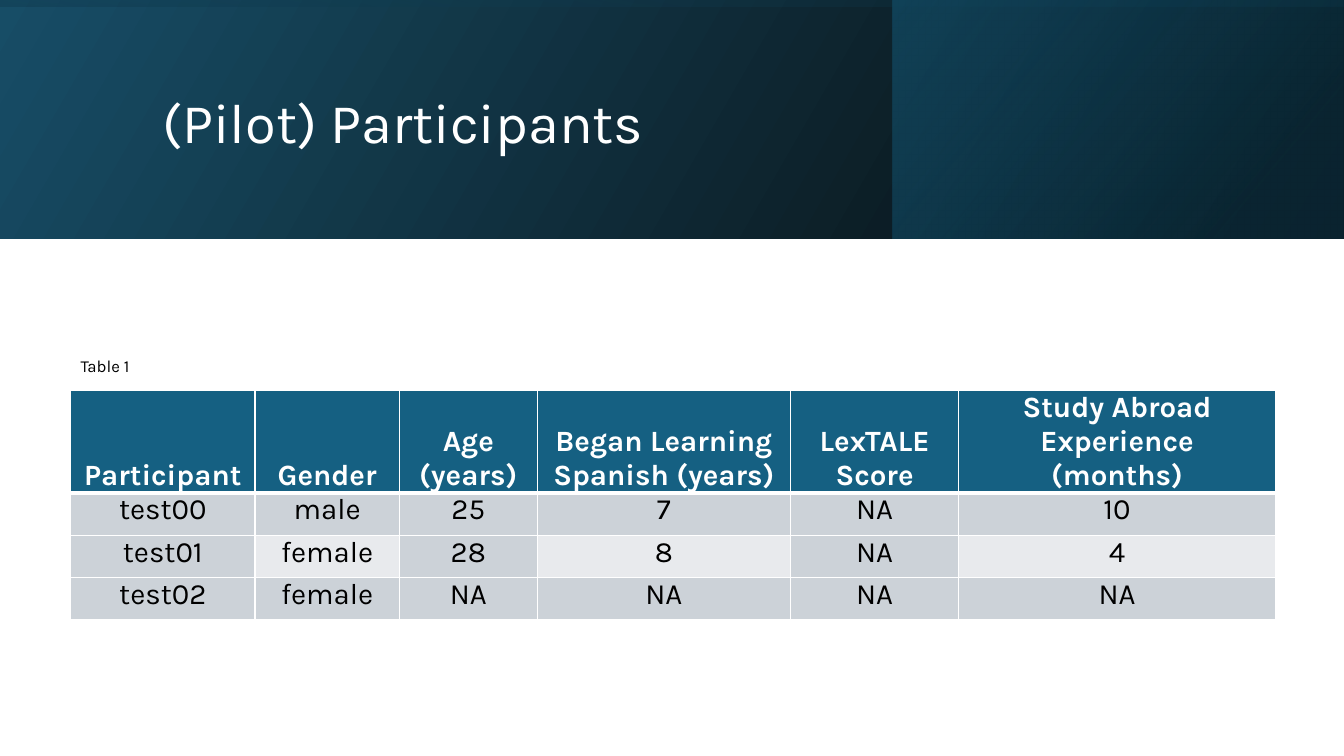
from lxml import etree
from pptx import Presentation, util as u
from pptx.dml.color import RGBColor
from pptx.enum import shapes, text
from pptx.oxml import parse_xml
from pptx.oxml.ns import nsdecls, qn

FONT = "Karla"
WHITE, BLACK, TEAL = "FFFFFF", "000000", "156082"
BAND, LIGHT = "CCD2D8", "E8EAED"
HEADERS = ["Participant", "Gender", "Age (years)", "Began Learning Spanish (years)",
           "LexTALE Score", "Study Abroad Experience (months)"]
ROWS = [["test00", "male", "25", "7", "NA", "10"],
        ["test01", "female", "28", "8", "NA", "4"],
        ["test02", "female", "NA", "NA", "NA", "NA"]]
COL_WIDTHS = [1.83, 1.43, 1.37, 2.51, 1.67, 3.14]
ROW_HEIGHTS = [0.77, 0.42, 0.42, 0.42]


def rgb(color):
    return RGBColor.from_string(color)


def inches(*lengths):
    return [u.Inches(v) for v in lengths]


def format_run(p, size, color, bold=False):
    font = p.runs[0].font
    font.name, font.size, font.bold = FONT, u.Pt(size), bold
    font.color.rgb = rgb(color)


def gradient_panel(s, box, stops, angle, rotation=0):
    """Mirrored rectangle; stops are (position %, colour, opacity %)."""
    sp = s.shapes.add_shape(shapes.MSO_SHAPE.RECTANGLE, *inches(*box))
    sp.rotation = rotation
    spPr = sp._element.spPr
    spPr.find(qn("a:xfrm")).set("flipH", "1")
    stop_xml = "".join(
        f'<a:gs pos="{pos * 1000}"><a:srgbClr val="{color}">'
        f'<a:alpha val="{alpha * 1000}"/></a:srgbClr></a:gs>'
        for pos, color, alpha in stops)
    spPr.append(parse_xml(
        f'<a:gradFill {nsdecls("a")} rotWithShape="1"><a:gsLst>{stop_xml}</a:gsLst>'
        f'<a:lin ang="{angle * 60000}" scaled="0"/></a:gradFill>'))
    sp.line.fill.background()
    sp.shadow.inherit = False
    return sp


def add_banner(s, x, y, w, h):
    # Layered gradients; the last is a tall panel turned on its side
    side = w * 0.336
    panels = [
        gradient_panel(s, (x, y, w, h), [(0, BLACK, 96), (100, "104862", 100 - 4 + 4 - 4)], 330),
        gradient_panel(s, (x + w - side, y, side, h),
                       [(19, "0B3041", 68), (100, TEAL, 48)], 320),
        gradient_panel(s, (x + (w - h) / 2, y + (h - w) / 2, h, w),
                       [(23, "104862", 16), (99, BLACK, 45)], 350, 270),
    ]
    # Title in front of the panels
    title = s.shapes.title
    for panel in panels:
        title._element.addprevious(panel._element)
    title.left, title.top, title.width, title.height = inches(
        x + 1.51, y + 0.38, w - 2.7, h - 0.65)
    tf = title.text_frame
    tf.text = "(Pilot) Participants"
    tf.word_wrap = True
    tf.vertical_anchor = text.MSO_ANCHOR.MIDDLE
    p = tf.paragraphs[0]
    p.alignment, p.line_spacing = text.PP_ALIGN.LEFT, 0.9
    format_run(p, 40, WHITE)


def set_borders(cell, bottom, top):
    tcPr = cell._tc.get_or_add_tcPr()
    for tag, width in (("lnL", 1), ("lnR", 1), ("lnT", top), ("lnB", bottom)):
        ln = etree.SubElement(tcPr, qn(f"a:{tag}"), w=str(u.Pt(width)))
        fill = etree.SubElement(ln, qn("a:solidFill"))
        etree.SubElement(fill, qn("a:srgbClr"), val=WHITE)


def format_cell(cell, value, row, col):
    header = row == 0
    set_borders(cell, bottom=3 if header else 1, top=3 if row == 1 else 1)
    fill = TEAL if header else LIGHT if row % 2 == 0 and col % 2 else BAND
    cell.fill.solid()
    cell.fill.fore_color.rgb = rgb(fill)
    cell.margin_left = cell.margin_right = u.Inches(0.13)
    cell.margin_top = cell.margin_bottom = 0
    cell.vertical_anchor = text.MSO_ANCHOR.BOTTOM if header else text.MSO_ANCHOR.TOP
    p = cell.text_frame.paragraphs[0]
    p.text = value
    p.alignment = text.PP_ALIGN.CENTER
    p.space_before = p.space_after = u.Pt(1.8)
    format_run(p, 21, WHITE if header else BLACK, header)


def add_participants(s, x, y, w, h):
    # Table
    data = [HEADERS] + ROWS
    table = s.shapes.add_table(len(data), len(HEADERS), *inches(x, y, w, h)).table
    for column, width in zip(table.columns, COL_WIDTHS):
        column.width = u.Inches(width)
    for row, height in zip(table.rows, ROW_HEIGHTS):
        row.height = u.Inches(height)
    for i, values in enumerate(data):
        for j, value in enumerate(values):
            format_cell(table.cell(i, j), value, i, j)

    # Caption above the table
    tf = s.shapes.add_textbox(*inches(x, y - 0.39, 0.71, 0.3)).text_frame
    tf.text = "Table 1"
    tf.word_wrap = False
    tf.auto_size = text.MSO_AUTO_SIZE.SHAPE_TO_FIT_TEXT
    format_run(tf.paragraphs[0], 12, BLACK)


def main():
    prs = Presentation()
    prs.slide_width, prs.slide_height = inches(13.33, 7.5)
    s = prs.slides.add_slide(prs.slide_layouts[5])
    add_banner(s, 0, 0, 13.33, 2.37)
    add_participants(s, 0.7, 3.87, sum(COL_WIDTHS), sum(ROW_HEIGHTS))
    prs.save("out.pptx")


if __name__ == "__main__":
    main()
